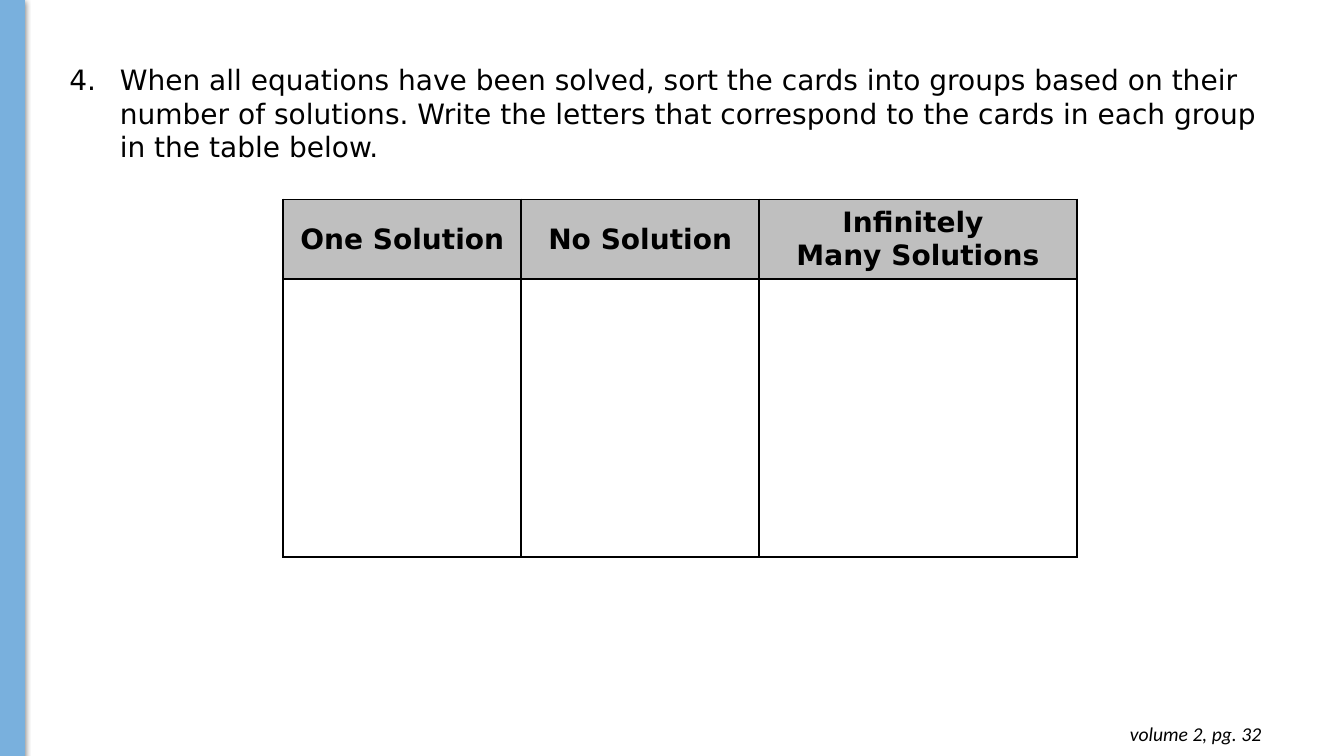
"""Build the card-sorting slide with its table of solution counts."""
from lxml import etree
from pptx import Presentation
from pptx.dml.color import RGBColor
from pptx.enum.shapes import MSO_SHAPE
from pptx.enum.text import MSO_ANCHOR, PP_ALIGN
from pptx.oxml import parse_xml
from pptx.oxml.ns import qn
from pptx.util import Inches, Pt

RECT = MSO_SHAPE.RECTANGLE
MIDDLE = MSO_ANCHOR.MIDDLE
CENTER, RIGHT = PP_ALIGN.CENTER, PP_ALIGN.RIGHT
NS = 'xmlns:a="http://schemas.openxmlformats.org/drawingml/2006/main"'
COLORS = {"bar": "79B0DD", "head": "BFBFBF", "ink": "000000", "page": "FFFFFF"}
FONT = "DejaVu Sans"


def color(name):
    return RGBColor.from_string(COLORS[name])


def style(para, face, size):
    for run in para.runs:
        run.font.name = face
        run.font.size = Pt(size)
        run.font.color.rgb = color("ink")


prs = Presentation()
prs.slide_width, prs.slide_height = Inches(13.33), Inches(7.5)
slide = prs.slides.add_slide(prs.slide_layouts[6])
slide.background.fill.solid()
slide.background.fill.fore_color.rgb = color("page")

bar = slide.shapes.add_shape(RECT, 0, 0, Inches(0.24), Inches(7.5))
bar.fill.solid()
bar.fill.fore_color.rgb = color("bar")
bar.line.color.rgb = color("bar")
bar.line.width = Pt(0.75)
bar.shadow.inherit = False
bar._element.spPr.find(qn("a:effectLst")).append(parse_xml(
    f'<a:outerShdw {NS} blurRad="{Pt(4.5)}" dist="{Pt(1.5)}" dir="5400000" '
    f'rotWithShape="0"><a:srgbClr val="{COLORS["ink"]}">'
    '<a:alpha val="50000"/></a:srgbClr></a:outerShdw>'))

heads = ["One Solution", "No Solution", "Infinitely \vMany Solutions"]
widths, heights = [2.36, 2.36, 3.15], [0.79, 2.76]
frame = slide.shapes.add_table(len(heights), len(widths), Inches(2.81), Inches(1.98),
                               Inches(sum(widths)), Inches(sum(heights)))
table = frame.table
for col, width in zip(table.columns, widths):
    col.width = Inches(width)
for row, height in zip(table.rows, heights):
    row.height = Inches(height)
for cell, head in zip(table.rows[0].cells, heads):
    cell.text_frame.text = head
    cell.vertical_anchor = MIDDLE
    para = cell.text_frame.paragraphs[0]
    para.alignment = CENTER
    style(para, FONT, 20)
    for run in para.runs:
        run.font.bold = True
for row, fill in zip(table.rows, ["head", "page"]):
    for cell in row.cells:
        cell.fill.solid()
        cell.fill.fore_color.rgb = color(fill)
        props = cell._tc.get_or_add_tcPr()
        for spot, side in enumerate("LRTB"):
            props.insert(spot, parse_xml(
                f'<a:ln{side} {NS} w="{Pt(1.5)}"><a:solidFill>'
                f'<a:srgbClr val="{COLORS["ink"]}"/></a:solidFill></a:ln{side}>'))

page = slide.shapes.add_textbox(Inches(9.73), Inches(7.06), Inches(2.88), Inches(0.44))
text = page.text_frame
text.word_wrap = True
text.margin_top = text.margin_bottom = Inches(0.1)
text.text = "volume 2, pg. 32"
para = text.paragraphs[0]
para.alignment = RIGHT
style(para, "Calibri", 14)
para.runs[0].font.italic = True

task = slide.shapes.add_textbox(Inches(0.59), Inches(0.57), Inches(12.1), Inches(1.11))
text = task.text_frame
text.word_wrap = True
text.text = ("When all equations have been solved, sort the cards into groups based on "
             "their number of solutions. Write the letters that correspond to the cards "
             "in each group in the table below.")
para = text.paragraphs[0]
props = para._p.get_or_add_pPr()
props.set("marL", str(Inches(0.5)))
props.set("indent", str(-Inches(0.5)))
tint = etree.SubElement(props, qn("a:buClr"))
etree.SubElement(tint, qn("a:srgbClr"), val=COLORS["ink"])
etree.SubElement(props, qn("a:buFont"), typeface=FONT)
etree.SubElement(props, qn("a:buAutoNum"), type="arabicPeriod", startAt="4")
style(para, FONT, 20)

prs.save("out.pptx")
